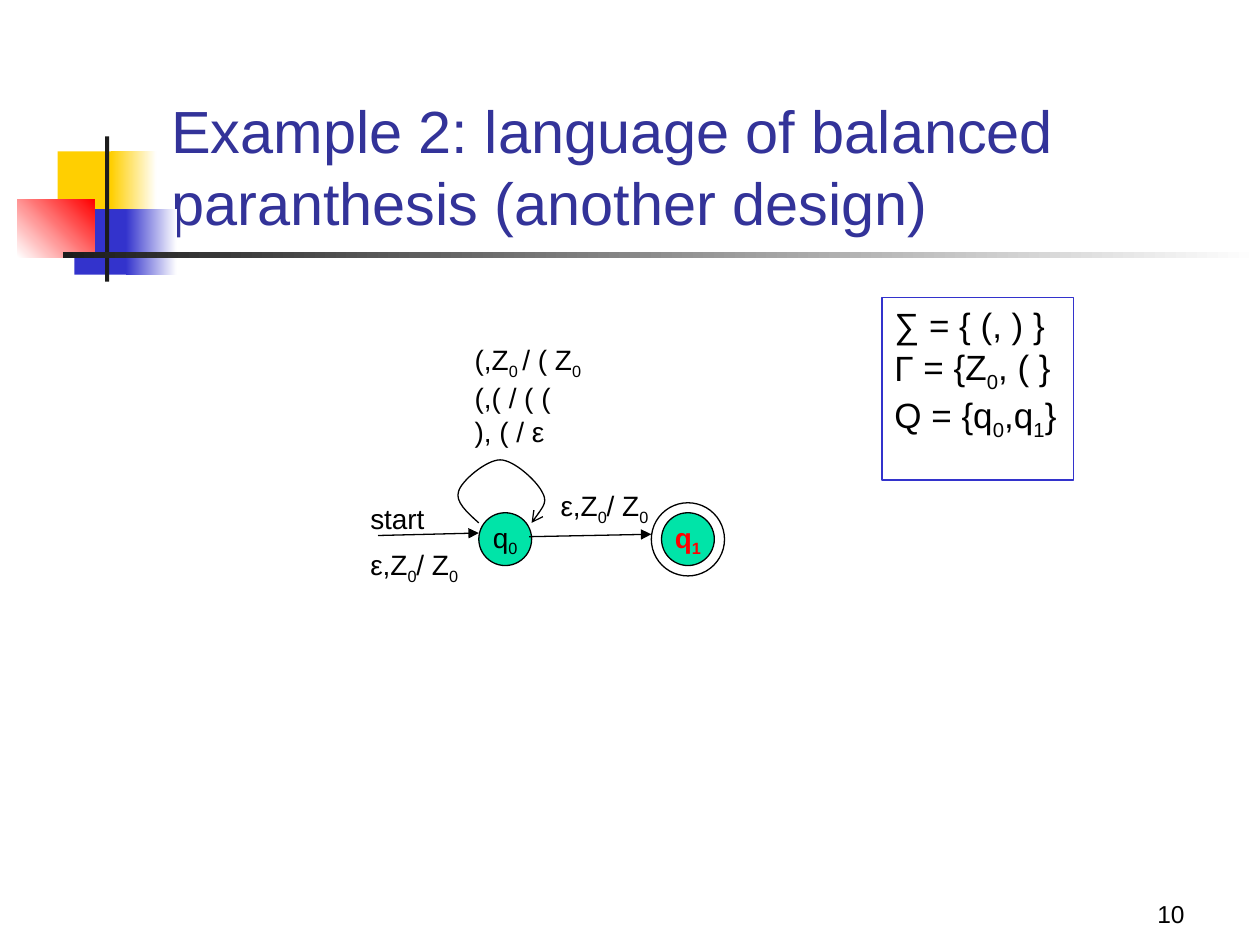
from lxml.etree import SubElement
from pptx import Presentation
from pptx.dml.color import RGBColor
from pptx.enum.shapes import MSO_CONNECTOR as Connector, MSO_SHAPE as Shape
from pptx.enum.text import MSO_ANCHOR as Anchor, MSO_AUTO_SIZE as AutoSize, PP_ALIGN as Align
from pptx.oxml.ns import qn
from pptx.util import Pt

BLACK, WHITE, BLUE = "000000", "FFFFFF", "3333CC"
YELLOW, RED, CHARCOAL, GREEN = "FFCF01", "FF0000", "1C1C1C", "00E4A8"
STATE_SIZE = 30.2
LOOP_POINTS = [
    (273.6, 298.8), (267.1, 293), (259.9, 286.6), (262.1, 280.8),
    (263.5, 275), (277.9, 262.8), (285.8, 262.8),
    (293.8, 262.8), (306.7, 275), (309.6, 280.8),
    (313.2, 286.6), (308.2, 293), (303.8, 298.8),
]


def colour(value):
    return RGBColor.from_string(value)


def points(*values):
    return [Pt(value) for value in values]


def apply_format(target, formats):
    for name, value in formats.items():
        setattr(target, name, value)


def write_text(box, lines, size=16, ink=BLACK, bold=False, align=Align.LEFT, **frame_format):
    """Text between tildes is set as a subscript."""
    frame = box.text_frame
    apply_format(frame, frame_format)
    for index, line in enumerate(lines):
        para = frame.add_paragraph() if index else frame.paragraphs[0]
        para.alignment = align
        for part, words in enumerate(line.split("~")):
            if not words:
                continue
            span = para.add_run()
            span.text = words
            apply_format(span.font, {"name": "Arial", "size": Pt(size), "bold": bold})
            span.font.color.rgb = colour(ink)
            if part % 2:
                span.font._element.set("baseline", "-25000")


def set_bullet(para, symbol, indent):
    properties = para._p.get_or_add_pPr()
    properties.set("marL", str(Pt(indent)))
    properties.set("indent", str(-Pt(indent)))
    SubElement(properties, qn("a:buFont"), typeface="Arial")
    SubElement(properties, qn("a:buChar"), char=symbol)


def set_outline(shape, ink, head=None):
    shape.line.color.rgb = colour(ink)
    shape.line.width = Pt(0.75)
    if head:
        SubElement(shape.line._get_or_add_ln(), qn("a:tailEnd"), type=head)


def add_figure(page, kind, place, fill=None, outline=None):
    shape = page.shapes.add_shape(kind, *points(*place))
    shape.shadow.inherit = False
    if fill:
        shape.fill.solid()
        shape.fill.fore_color.rgb = colour(fill)
    else:
        shape.fill.background()
    if outline:
        set_outline(shape, outline)
    else:
        shape.line.fill.background()
    return shape


def add_fade(page, place, start, end, angle=0):
    shape = add_figure(page, Shape.RECTANGLE, place)
    shape.fill.gradient()
    shape.fill.gradient_angle = angle
    for stop, value, position in zip(shape.fill.gradient_stops, (start, end), (0, 1)):
        stop.color.rgb = colour(value)
        stop.position = position


def add_label(page, place, lines):
    box = page.shapes.add_textbox(*points(*place))
    write_text(box, lines, word_wrap=False, auto_size=AutoSize.SHAPE_TO_FIT_TEXT)


def add_state(page, left, name, ink=BLACK, bold=False):
    state = add_figure(page, Shape.OVAL, (left, 293, STATE_SIZE, STATE_SIZE), GREEN, BLACK)
    write_text(state, [name], ink=ink, bold=bold, align=Align.CENTER,
               word_wrap=False, vertical_anchor=Anchor.MIDDLE)


def add_arrow(page, *ends):
    arrow = page.shapes.add_connector(Connector.STRAIGHT, *points(*ends))
    set_outline(arrow, BLACK, "triangle")
    SubElement(arrow._element.spPr, qn("a:effectLst"))


def add_loop(page):
    vertices = [points(*vertex) for vertex in LOOP_POINTS]
    builder = page.shapes.build_freeform(*vertices[0])
    builder.add_line_segments(vertices[1:], close=False)
    loop = builder.convert_to_shape()
    loop.shadow.inherit = False
    loop.fill.background()
    set_outline(loop, BLACK, "arrow")
    outline = next(loop._element.iter(qn("a:path")))
    segments = outline.findall(qn("a:lnTo"))
    for first in range(0, len(segments), 3):
        curve = SubElement(outline, qn("a:cubicBezTo"))
        for segment in segments[first:first + 3]:
            curve.append(segment[0])
            outline.remove(segment)


def add_decoration(page):
    add_figure(page, Shape.RECTANGLE, (33, 86.5, 34.5, 37.5), YELLOW)
    add_fade(page, (63.5, 86.5, 26, 37.5), YELLOW, WHITE)
    add_figure(page, Shape.RECTANGLE, (42.5, 119.5, 33, 37.5), BLUE)
    add_fade(page, (72, 119.5, 29, 37.5), BLUE, WHITE)
    add_fade(page, (10, 114, 44, 33), WHITE, RED, 45)
    add_figure(page, Shape.RECTANGLE, (60, 78, 2.4, 83), CHARCOAL)
    add_fade(page, (36, 144, 684, 3.6), CHARCOAL, WHITE)


def add_title(page):
    title = page.shapes.title
    apply_format(title, dict(zip(("left", "top", "width", "height"),
                                 points(90.7, 49, 613.4, 90))))
    write_text(title, ["Example 2: language of balanced paranthesis (another design)"],
               size=34, ink="333399", word_wrap=True, auto_size=AutoSize.NONE,
               vertical_anchor=Anchor.BOTTOM)


def add_definitions(page):
    box = add_figure(page, Shape.RECTANGLE, (504, 170, 109.4, 104.4), outline=BLUE)
    write_text(box, ["∑ = { (, ) }", "= {Z~0~, ( }", "Q = {q~0~,q~1~}"], size=20,
               word_wrap=True, vertical_anchor=Anchor.TOP)
    set_bullet(box.text_frame.paragraphs[1], "Γ", 16.6)


def add_automaton(page):
    add_state(page, 273.6, "q~0~")
    add_arrow(page, 216, 306, 273.6, 304.6)
    add_loop(page)
    add_label(page, (264.2, 192.2, 78.5, 65.5), ["(,Z~0 ~/ ( Z~0~", "(,( / ( (", "), ( / ε"])
    add_label(page, (204.5, 283, 46, 26.6), ["start"])
    add_arrow(page, 302.4, 306.7, 372.2, 305.3)
    add_figure(page, Shape.OVAL, (372.2, 287.3, 41.8, 41.8), outline=BLACK)
    add_state(page, 378, "q~1~", RED, True)
    for left, top in ((313.2, 275.8), (204.5, 309.6)):
        add_label(page, (left, top, 71.3, 26.6), ["ε,Z~0~/ Z~0~"])


def add_page_number(page):
    box = page.shapes.add_textbox(*points(534.2, 498.2, 149.8, 36))
    write_text(box, ["10"], size=14, align=Align.RIGHT,
               word_wrap=True, vertical_anchor=Anchor.BOTTOM)


def main():
    deck = Presentation()
    apply_format(deck, {"slide_width": Pt(720), "slide_height": Pt(540)})
    page = deck.slides.add_slide(deck.slide_layouts[5])
    add_decoration(page)
    add_page_number(page)
    add_title(page)
    add_definitions(page)
    add_automaton(page)
    deck.save("out.pptx")


if __name__ == "__main__":
    main()
